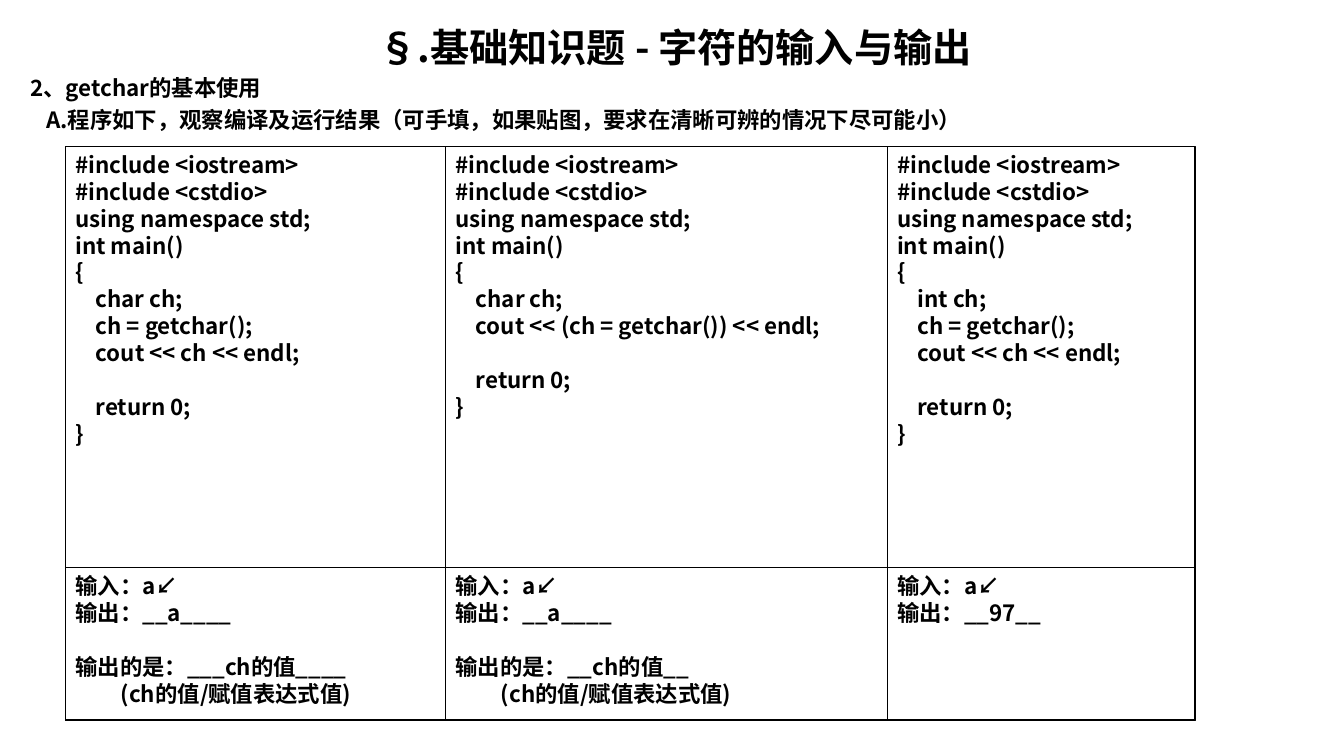
import pptx
import pptx.dml.color
import pptx.enum.shapes
import pptx.enum.text
import pptx.oxml
import pptx.oxml.ns
import pptx.util

Inches = pptx.util.Inches
Pt = pptx.util.Pt
FONT = "Noto Sans CJK SC"
LINE_FACTOR = 1.2
TEXT_SIZE = 16


def color(hex_string):
    return pptx.dml.color.RGBColor.from_string(hex_string)


def write_text(shape, lines, size=TEXT_SIZE, alignment=pptx.enum.text.PP_ALIGN.LEFT):
    """Fill the shape with one bold, top-anchored paragraph per line."""
    frame = shape.text_frame
    frame.text = "\n".join(lines)
    frame.word_wrap = True
    frame.auto_size = pptx.enum.text.MSO_AUTO_SIZE.NONE
    frame.vertical_anchor = pptx.enum.text.MSO_ANCHOR.TOP
    for paragraph in frame.paragraphs:
        paragraph.alignment = alignment
        paragraph.line_spacing = Pt(size * LINE_FACTOR)
        paragraph.space_before = Pt(0)
        for run in paragraph.runs:
            run.font.size = Pt(size)
            run.font.bold = True
            run.font.color.rgb = color("000000")
            run.font.name = FONT
            east_asian = pptx.oxml.parse_xml(
                f'<a:ea {pptx.oxml.ns.nsdecls("a")} typeface="{FONT}"/>')
            run.font._element.append(east_asian)


presentation = pptx.Presentation()
presentation.slide_width = Inches(13.33)
presentation.slide_height = Inches(7.5)
slide = presentation.slides.add_slide(presentation.slide_layouts[0])

# Heading
title, subtitle = slide.placeholders
for placeholder, top, height in ((title, 0.18, 0.51), (subtitle, 0.69, 0.72)):
    placeholder.left, placeholder.top = Inches(0.2), Inches(top)
    placeholder.width, placeholder.height = Inches(12.99), Inches(height)

write_text(title, ["§.基础知识题 - 字符的输入与输出"], 28, pptx.enum.text.PP_ALIGN.CENTER)
write_text(subtitle, [
    "2、getchar的基本使用",
    "A.程序如下，观察编译及运行结果（可手填，如果贴图，要求在清晰可辨的情况下尽可能小）",
])
question = subtitle.text_frame.paragraphs[1]
question.space_before = Pt(3.2)
question._p.get_or_add_pPr().set("marL", str(Inches(0.16)))

# Three programs, each above its result
CODE_START = ["#include <iostream>", "#include <cstdio>", "using namespace std;", "int main()", "{"]
CODE_END = ["", "    return 0;", "}"]
READ_THEN_PRINT = ["    ch = getchar();", "    cout << ch << endl;"]
CHOICES = "(ch的值/赋值表达式值)"
programs = [
    (3.77, ["    char ch;"] + READ_THEN_PRINT,
     ["输出：__a____", "输出的是：___ch的值____", CHOICES]),
    (4.38, ["    char ch;", "    cout << (ch = getchar()) << endl;"],
     ["输出：__a____", "输出的是：__ch的值__", CHOICES]),
    (3.05, ["    int ch;"] + READ_THEN_PRINT, ["输出：__97__"]),
]

GRID_LEFT, GRID_TOP, GRID_HEIGHT = 0.65, 1.45, 5.7
RESULT_TOP, RESULT_HEIGHT = 5.63, 1.51
boxes = [(GRID_LEFT, GRID_TOP, 11.21, GRID_HEIGHT, [])]
results = []
left = GRID_LEFT
for width, body, result in programs:
    boxes.append((left, GRID_TOP, width, GRID_HEIGHT, CODE_START + body + CODE_END))
    results.append((left, RESULT_TOP, width, RESULT_HEIGHT, ["输入：a↙"] + result))
    left += width

for left, top, width, height, lines in boxes + results:
    box = slide.shapes.add_shape(
        pptx.enum.shapes.MSO_SHAPE.RECTANGLE,
        Inches(left), Inches(top), Inches(width), Inches(height))
    box.shadow.inherit = False
    box.fill.background()
    box.line.color.rgb = color("000000")
    box.line.width = Pt(0.75)
    if lines:
        write_text(box, lines)
    if CHOICES in lines:
        meaning, choices = box.text_frame.paragraphs[-2:]
        meaning.space_before = Pt(TEXT_SIZE * LINE_FACTOR)
        choices._p.get_or_add_pPr().set("marL", str(Inches(0.45)))

presentation.save("out.pptx")
